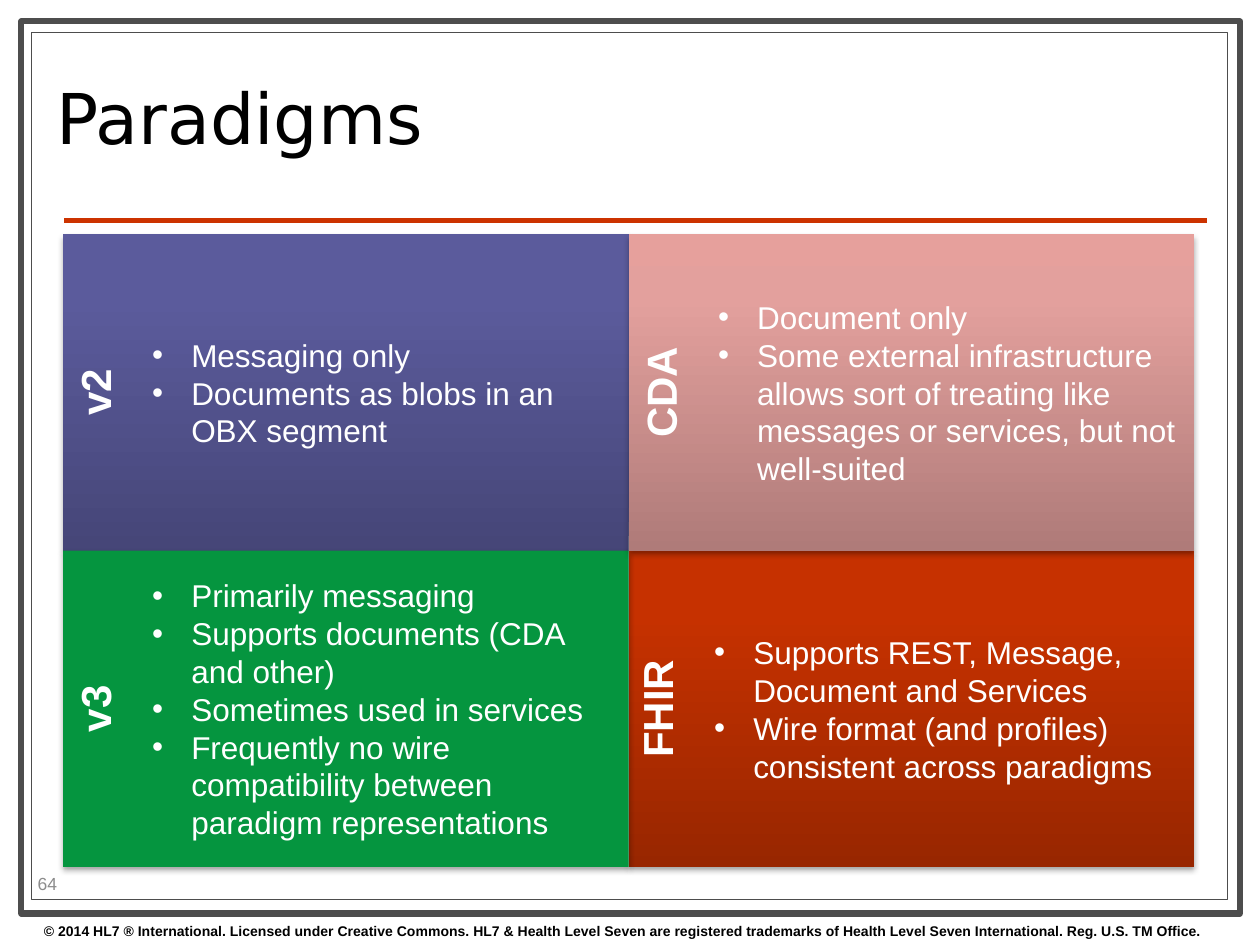
from copy import deepcopy

from lxml.etree import SubElement
from pptx import Presentation
from pptx.dml.color import RGBColor
from pptx.enum.shapes import MSO_CONNECTOR, MSO_SHAPE
from pptx.enum.text import MSO_ANCHOR, MSO_AUTO_SIZE, PP_ALIGN
from pptx.oxml.ns import qn
from pptx.util import Inches, Pt

COLORS = {"white": "FFFFFF", "black": "000000", "frame": "4D4D4D",
          "rule": "CC3300", "number": "8C8C8C"}
TITLE = "Paradigms"
PAGE = "64"
COPYRIGHT = ("© 2014 HL7 ® International. Licensed under Creative Commons. HL7 & Health Level Seven "
             "are registered trademarks of Health Level Seven International. Reg. U.S. TM Office.")
FRAMES = [((0.17, 0.17, 9.67, 7.08), 3.5), ((0.25, 0.26, 9.49, 6.88), 0.75)]
QUADRANTS = [
    {"name": "v2", "col": 0, "row": 0, "shift": 0, "text_h": 1.01,
     "fill": ["464678", "5B5B9C", "5B5B9E"],
     "points": ["Messaging only", "Documents as blobs in an OBX segment"]},
    {"name": "FHIR", "col": 1, "row": 1, "shift": -0.03, "text_h": 1.31,
     "fill": ["982600", "C63100", "C73200"],
     "points": ["Supports REST, Message, Document and Services",
                "Wire format (and profiles) consistent across paradigms"]},
    {"name": "v3", "col": 0, "row": 1, "shift": 0, "text_h": 2.22,
     "fill": ["05953F"],
     "points": ["Primarily messaging", "Supports documents (CDA and other)",
                "Sometimes used in services",
                "Frequently no wire compatibility between paradigm representations"]},
    {"name": "CDA", "col": 1, "row": 0, "shift": 0, "text_h": 1.62,
     "fill": ["AF7B79", "E3A09D", "E6A09C"],
     "points": ["Document only",
                "Some external infrastructure allows sort of treating like messages "
                "or services, but not well-suited"]},
]
STOPS = [0, 0.8, 1]
LEFT, TOP, CELL_W, CELL_H, LABEL_W = 0.5, 1.86, 4.49, 2.51, 0.61


def rgb(value):
    return RGBColor.from_string(value)


def add_rect(s, box):
    sp = s.shapes.add_shape(MSO_SHAPE.RECTANGLE, *map(Inches, box))
    sp.shadow.inherit = False
    return sp


def style(p, size, color, bold=False, font="Arial"):
    for r in p.runs:
        r.font.size, r.font.bold, r.font.name = Pt(size), bold, font
        r.font.color.rgb = rgb(color)


def add_text(s, box, lines, size, color, bold=False, anchor=MSO_ANCHOR.TOP):
    tf = s.shapes.add_textbox(*map(Inches, box)).text_frame
    tf.word_wrap = True
    tf.vertical_anchor = anchor
    tf.text = "\n".join(lines)
    for p in tf.paragraphs:
        style(p, size, color, bold)
    return tf


def add_frame(s):
    for box, width in FRAMES:
        sp = add_rect(s, box)
        sp.fill.solid()
        sp.fill.fore_color.rgb = rgb(COLORS["white"])
        sp.line.color.rgb = rgb(COLORS["frame"])
        sp.line.width = Pt(width)
    rule = s.shapes.add_connector(MSO_CONNECTOR.STRAIGHT, *map(Inches, (0.51, 1.75, 9.58, 1.75)))
    rule.line.color.rgb = rgb(COLORS["rule"])
    rule.line.width = Pt(3)
    SubElement(rule._element.spPr, qn("a:effectLst"))
    tf = add_text(s, (0.25, 7.27, 10, 0.23), [COPYRIGHT], 8, COLORS["black"], True)
    tf.auto_size = MSO_AUTO_SIZE.SHAPE_TO_FIT_TEXT


def add_title(s):
    title = s.shapes.title
    s.shapes._spTree.append(title._element)
    title.left, title.top, title.width, title.height = map(Inches, (0.35, 0.36, 7.17, 1.26))
    tf = title.text_frame
    tf.text = TITLE
    tf.vertical_anchor = MSO_ANCHOR.MIDDLE
    p = tf.paragraphs[0]
    p.alignment, p.line_spacing = PP_ALIGN.LEFT, 0.8
    style(p, 40, COLORS["black"], font="DejaVu Sans")


def add_shadow(sp):
    effects = sp._element.spPr.find(qn("a:effectLst"))
    shadow = SubElement(effects, qn("a:outerShdw"), blurRad=str(Pt(3.1)), dist=str(Pt(1.8)),
                        dir="5400000", rotWithShape="0")
    color = SubElement(shadow, qn("a:srgbClr"), val=COLORS["black"])
    SubElement(color, qn("a:alpha"), val="35000")


def fill_tile(sp, colors):
    if len(colors) == 1:
        sp.fill.solid()
        sp.fill.fore_color.rgb = rgb(colors[0])
        return
    sp.fill.gradient()
    sp.fill.gradient_angle = 90
    stops = sp._element.spPr.find(".//" + qn("a:gsLst"))
    stops.append(deepcopy(stops[-1]))
    for stop, position, color in zip(sp.fill.gradient_stops, STOPS, colors):
        stop.position = position
        stop.color.rgb = rgb(color)


def add_bullet(p):
    pPr = p._p.get_or_add_pPr()
    pPr.set("marL", str(Inches(0.31)))
    pPr.set("indent", str(-Inches(0.31)))
    SubElement(pPr, qn("a:buFont"), typeface="Arial")
    SubElement(pPr, qn("a:buChar"), char="•")


def add_tile(s, q, x, y):
    sp = add_rect(s, (x, y, CELL_W, CELL_H))
    fill_tile(sp, q["fill"])
    sp.line.fill.background()
    add_shadow(sp)


def add_tile_text(s, q, x, y):
    x += q["shift"]
    label = add_text(s, (x, y, LABEL_W, CELL_H), [q["name"]], 24, COLORS["white"], True)
    label._txBody.bodyPr.set("vert", "vert270")
    label.paragraphs[0].alignment = PP_ALIGN.CENTER
    box = (x + LABEL_W, y + (CELL_H - q["text_h"]) / 2, CELL_W - LABEL_W, q["text_h"])
    tf = add_text(s, box, q["points"], 18, COLORS["white"], anchor=MSO_ANCHOR.MIDDLE)
    for p in tf.paragraphs:
        add_bullet(p)


def main():
    """Build the slide comparing the four paradigms."""
    prs = Presentation()
    prs.slide_width, prs.slide_height = Inches(10), Inches(7.5)
    s = prs.slides.add_slide(prs.slide_layouts[5])
    add_frame(s)
    add_title(s)
    add_text(s, (0.2, 6.89, 0.79, 0.24), [PAGE], 10, COLORS["number"], anchor=MSO_ANCHOR.MIDDLE)
    for add in (add_tile, add_tile_text):
        for q in QUADRANTS:
            add(s, q, LEFT + q["col"] * CELL_W, TOP + q["row"] * CELL_H)
    prs.save("out.pptx")


if __name__ == "__main__":
    main()
